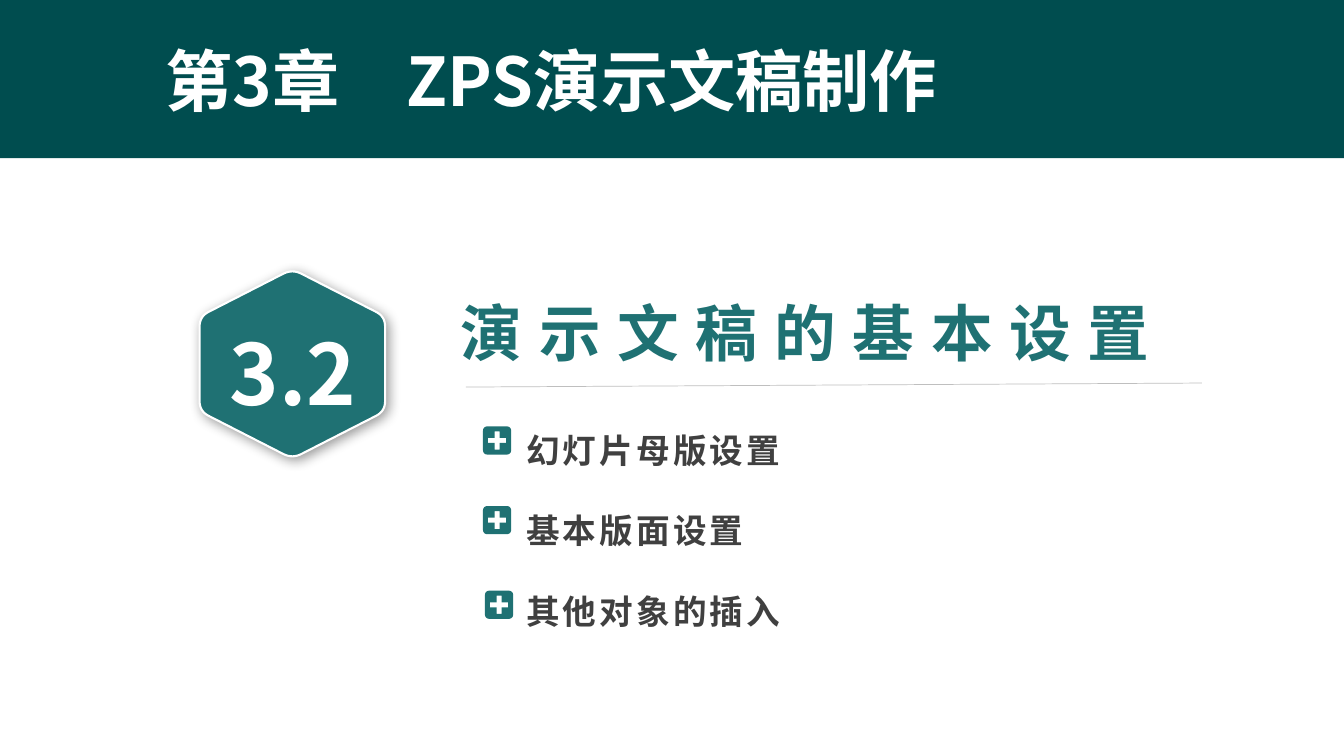
from math import hypot

from lxml.etree import SubElement
from pptx import Presentation
from pptx.dml.color import RGBColor
from pptx.enum.shapes import MSO_CONNECTOR, MSO_SHAPE
from pptx.enum.text import MSO_ANCHOR, MSO_AUTO_SIZE, PP_ALIGN
from pptx.oxml.ns import qn
from pptx.util import Inches, Pt

TITLE = "第3章　ZPS演示文稿制作"
SECTION_NUMBER = "3.2"
SECTION = "演示文稿的基本设置"
# topic and the centre of its plus icon
TOPICS = [
    ("幻灯片母版设置", (4.93, 4.37)),
    ("基本版面设置", (4.93, 5.16)),
    ("其他对象的插入", (4.95, 6.0)),
]

FONT = "Noto Sans CJK SC"
DARK_TEAL = RGBColor(0x00, 0x4D, 0x4F)
TEAL = RGBColor(0x1F, 0x71, 0x73)
GREY = RGBColor(0x40, 0x40, 0x40)
RULE_GREY = RGBColor(0xBF, 0xBF, 0xBF)
WHITE = RGBColor(0xFF, 0xFF, 0xFF)

WIDTH, HEIGHT = 13.33, 7.5
BAND_HEIGHT = 1.57
BADGE_CENTRE = (2.9, 3.61)
BADGE_HALF_WIDTH, BADGE_HALF_SIDE, BADGE_RADIUS = 0.92, 0.47, 0.94
ICON_HALF, PLUS_ARM, PLUS_HALF_STROKE = 0.14, 0.09, 0.025
CURVE_STEPS = 8


def round_corners(vertices, trim):
    """Replace each corner by a quadratic curve that starts `trim` away from it."""
    points = []
    for index, (x, y) in enumerate(vertices):
        ends = []
        for other_x, other_y in (vertices[index - 1], vertices[(index + 1) % len(vertices)]):
            share = trim / hypot(other_x - x, other_y - y)
            ends.append((x + share * (other_x - x), y + share * (other_y - y)))
        (start_x, start_y), (end_x, end_y) = ends
        for step in range(CURVE_STEPS + 1):
            t = step / CURVE_STEPS
            a, b, c = (1 - t) ** 2, 2 * t * (1 - t), t ** 2
            points.append((a * start_x + b * x + c * end_x, a * start_y + b * y + c * end_y))
    return points


def add_outline(slide, centre, contours):
    """Draw closed contours, given relative to centre, as one teal shape."""
    placed = [[(Inches(centre[0] + x), Inches(centre[1] + y)) for x, y in contour]
              for contour in contours]
    builder = slide.shapes.build_freeform(*placed[0][0])
    builder.add_line_segments(placed[0][1:], close=True)
    for contour in placed[1:]:
        builder.move_to(*contour[0])
        builder.add_line_segments(contour[1:], close=True)
    shape = builder.convert_to_shape()
    shape.shadow.inherit = False
    shape.fill.solid()
    shape.fill.fore_color.rgb = TEAL
    shape.line.fill.background()
    return shape


def write(shape, lines, size, color, align=PP_ALIGN.LEFT, spacing=0, line_spacing=1.0, tight=False):
    frame = shape.text_frame
    frame.word_wrap = True
    frame.auto_size = MSO_AUTO_SIZE.SHAPE_TO_FIT_TEXT
    frame.vertical_anchor = MSO_ANCHOR.TOP
    if tight:
        frame.margin_left = frame.margin_right = Inches(0.04)
        frame.margin_top = frame.margin_bottom = Inches(0.02)
    frame.text = "\n".join(lines)
    for paragraph in frame.paragraphs:
        paragraph.alignment = align
        paragraph.line_spacing = line_spacing
        font = paragraph.font
        font.size, font.bold, font.name = Pt(size), True, FONT
        font.color.rgb = color
        properties = paragraph._p.pPr.find(qn("a:defRPr"))
        properties.set("spc", str(round(spacing * 100)))
        SubElement(properties, qn("a:ea"), typeface=FONT)


def add_text(slide, box, lines, size, color, **options):
    write(slide.shapes.add_textbox(*map(Inches, box)), lines, size, color, **options)


def add_band_and_title(slide):
    band = slide.shapes.add_shape(MSO_SHAPE.RECTANGLE, 0, 0, Inches(WIDTH), Inches(BAND_HEIGHT))
    band.shadow.inherit = False
    band.fill.solid()
    band.fill.fore_color.rgb = DARK_TEAL
    band.line.fill.background()
    title = slide.shapes.title
    band._element.addnext(title._element)
    title.left, title.top, title.width, title.height = map(Inches, (1.54, 0.34, 10.49, 0.91))
    write(title, [TITLE], 48, WHITE)


def add_badge(slide):
    w, s, r = BADGE_HALF_WIDTH, BADGE_HALF_SIDE, BADGE_RADIUS
    hexagon = [(0, -r), (w, -s), (w, s), (0, r), (-w, s), (-w, -s)]
    badge = add_outline(slide, BADGE_CENTRE, [round_corners(hexagon, 0.1)])
    badge.line.color.rgb = WHITE
    badge.line.width = Pt(1.5)
    effects = badge._element.spPr.find(qn("a:effectLst"))
    shadow = SubElement(effects, qn("a:outerShdw"), blurRad=str(Pt(9)), dist=str(Pt(3)),
                        dir="2700000", algn="tl", rotWithShape="0")
    black = SubElement(shadow, qn("a:srgbClr"), val="000000")
    SubElement(black, qn("a:alpha"), val="40000")
    add_text(slide, (2.14, 3.14, 1.53, 1.11), [SECTION_NUMBER], 60, WHITE, align=PP_ALIGN.CENTER)


def add_section(slide):
    add_text(slide, (4.53, 2.91, 7.56, 0.78), [SECTION], 44, TEAL, spacing=12, tight=True)
    rule = slide.shapes.add_connector(
        MSO_CONNECTOR.STRAIGHT, *map(Inches, (4.62, 3.84, 11.92, 3.8)))
    rule.line.color.rgb = RULE_GREY
    rule.line.width = Pt(0.5)
    SubElement(rule._element.spPr, qn("a:effectLst"))


def add_topics(slide):
    add_text(slide, (5.18, 3.84, 6.06, 2.46), [topic for topic, _ in TOPICS], 24, GREY,
             spacing=2.2, line_spacing=2.0, tight=True)
    h, a, s = ICON_HALF, PLUS_ARM, PLUS_HALF_STROKE
    tile = round_corners([(-h, -h), (h, -h), (h, h), (-h, h)], 0.05)
    plus = [(a, s), (s, s), (s, a), (-s, a), (-s, s), (-a, s),
            (-a, -s), (-s, -s), (-s, -a), (s, -a), (s, -s), (a, -s)]
    for _, centre in TOPICS:
        add_outline(slide, centre, [tile, plus[::-1]])


def main():
    presentation = Presentation()
    presentation.slide_width, presentation.slide_height = Inches(WIDTH), Inches(HEIGHT)
    slide = presentation.slides.add_slide(presentation.slide_layouts[5])
    add_band_and_title(slide)
    add_badge(slide)
    add_section(slide)
    add_topics(slide)
    presentation.save("out.pptx")


if __name__ == "__main__":
    main()
